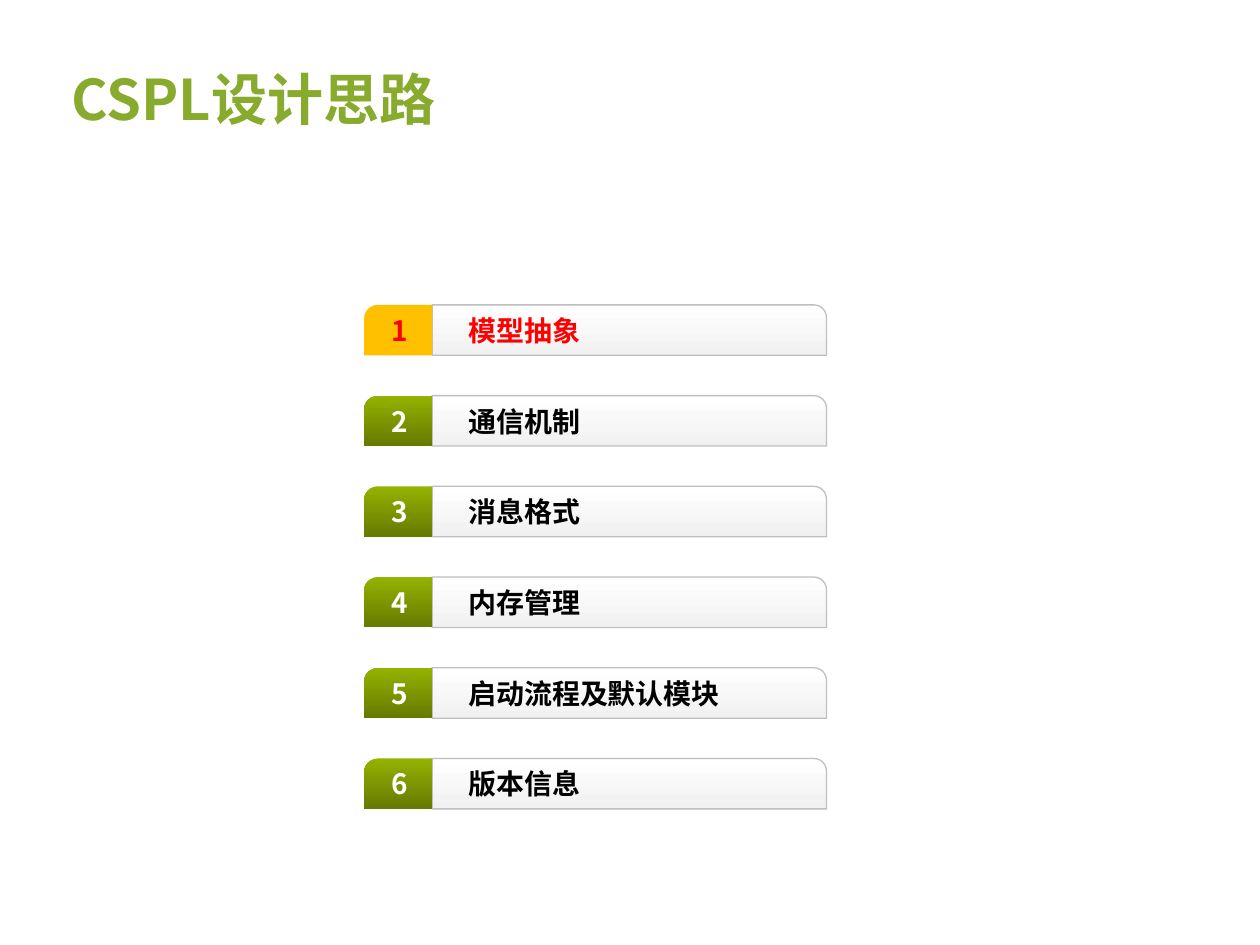
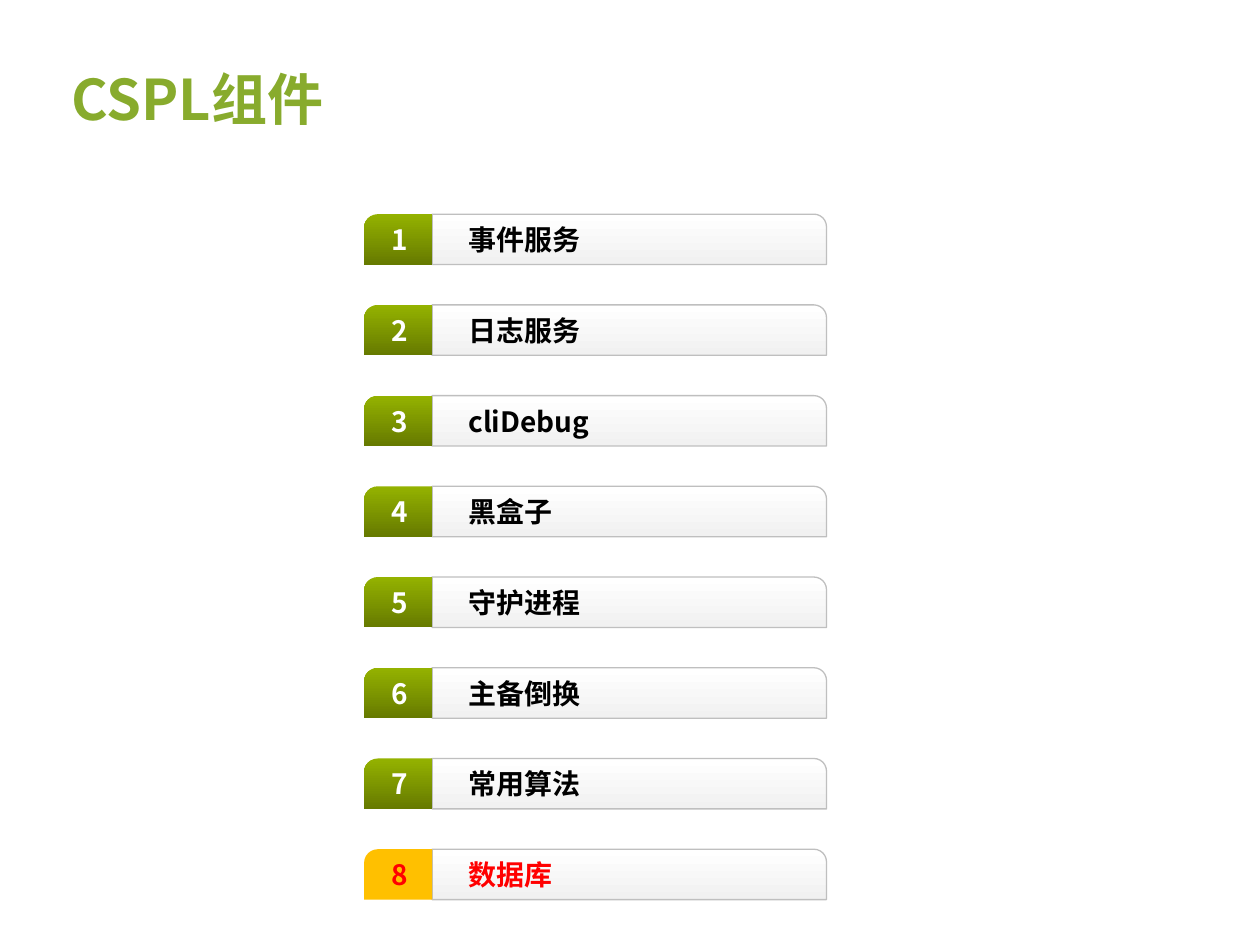
from dataclasses import dataclass
from typing import NamedTuple

from pptx import Presentation
from pptx.dml.color import RGBColor
from pptx.dml.fill import FillFormat
from pptx.enum.shapes import MSO_SHAPE
from pptx.enum.text import MSO_ANCHOR, PP_ALIGN
from pptx.oxml.ns import qn
from pptx.shapes.autoshape import Shape
from pptx.slide import Slide
from pptx.util import Inches, Pt


@dataclass(frozen=True)
class Theme:
    font: str = "Noto Sans CJK SC"
    title_size: int = 32
    item_size: int = 16
    line_width: float = 0.75
    title: str = "88AB2D"
    item: str = "000000"
    number: str = "FFFFFF"
    current: str = "FF0000"
    bar: tuple[str, ...] = ("FFFFFF", "F1F1F1")
    bar_line: str = "BFBFBF"
    tab: tuple[str, ...] = ("94B200", "667A00")
    current_tab: tuple[str, ...] = ("FFC000",)


class Box(NamedTuple):
    left: float
    top: float
    width: float
    height: float


@dataclass(frozen=True)
class Grid:
    left: float = 2.89
    top: float = 1.70
    pitch: float = 0.72
    tab_width: float = 0.54
    bar_width: float = 3.13
    height: float = 0.40
    indent: float = 0.19

    def tab(self, row: int) -> Box:
        return Box(self.left, self.top + row * self.pitch, self.tab_width, self.height)

    def bar(self, row: int) -> Box:
        return self.tab(row)._replace(left=self.left + self.tab_width, width=self.bar_width)


@dataclass(frozen=True)
class Agenda:
    title: str
    items: tuple[str, ...]
    current: int
    first_row: int = 0


THEME = Theme()
GRID = Grid()
TITLE_BOX = Box(0.47, 0.47, 6.48, 0.62)
AGENDAS = (
    Agenda(
        "CSPL设计思路",
        ("模型抽象", "通信机制", "消息格式", "内存管理", "启动流程及默认模块", "版本信息"),
        current=1,
        first_row=1,
    ),
    Agenda(
        "CSPL组件",
        ("事件服务", "日志服务", "cliDebug", "黑盒子", "守护进程", "主备倒换", "常用算法", "数据库"),
        current=8,
    ),
)


def write(sp: Shape, text: str, size: int, color: str,
          align: PP_ALIGN = PP_ALIGN.LEFT, indent: float = 0) -> None:
    tf = sp.text_frame
    tf.word_wrap = True
    tf.vertical_anchor = MSO_ANCHOR.MIDDLE
    p = tf.paragraphs[0]
    p.alignment = align
    if indent:
        pPr = p._p.get_or_add_pPr()
        pPr.set("marL", str(Inches(indent)))
        pPr.set("indent", "0")
    r = p.add_run()
    r.text = text
    r.font.size = Pt(size)
    r.font.bold = True
    r.font.name = THEME.font
    r.font.color.rgb = RGBColor.from_string(color)
    ea = r.font._element.makeelement(qn("a:ea"), {"typeface": THEME.font})
    r.font._element.find(qn("a:latin")).addnext(ea)


def paint(fill: FillFormat, colors: tuple[str, ...]) -> None:
    if len(colors) == 1:
        fill.solid()
        fill.fore_color.rgb = RGBColor.from_string(colors[0])
        return
    fill.gradient()
    fill.gradient_angle = 270
    for stop, color in zip(fill.gradient_stops, colors):
        stop.color.rgb = RGBColor.from_string(color)


def add_panel(s: Slide, box: Box, colors: tuple[str, ...], corner: float) -> Shape:
    sp = s.shapes.add_shape(MSO_SHAPE.ROUND_1_RECTANGLE, *map(Inches, box))
    sp.adjustments[0] = corner
    sp.shadow.inherit = False
    sp.line.fill.background()
    paint(sp.fill, colors)
    return sp


def add_item(s: Slide, row: int, number: int, label: str, current: bool) -> None:
    bar = add_panel(s, GRID.bar(row), THEME.bar, 0.25)
    bar.line.color.rgb = RGBColor.from_string(THEME.bar_line)
    bar.line.width = Pt(THEME.line_width)
    write(bar, label, THEME.item_size, THEME.current if current else THEME.item,
          indent=GRID.indent)

    tab = add_panel(s, GRID.tab(row), THEME.current_tab if current else THEME.tab, 0.27)
    tab._element.spPr.get_or_add_xfrm().set("flipH", "1")
    write(tab, str(number), THEME.item_size, THEME.current if current else THEME.number,
          PP_ALIGN.CENTER)


def add_agenda(prs: Presentation, agenda: Agenda) -> None:
    s = prs.slides.add_slide(prs.slide_layouts[6])
    title = s.shapes.add_textbox(*map(Inches, TITLE_BOX))
    write(title, agenda.title, THEME.title_size, THEME.title)
    for number, label in enumerate(agenda.items, start=1):
        row = agenda.first_row + number - 1
        add_item(s, row, number, label, number == agenda.current)


def main() -> None:
    prs = Presentation()
    prs.slide_width, prs.slide_height = Inches(10), Inches(7.5)
    for agenda in AGENDAS:
        add_agenda(prs, agenda)
    prs.save("out.pptx")


if __name__ == "__main__":
    main()
